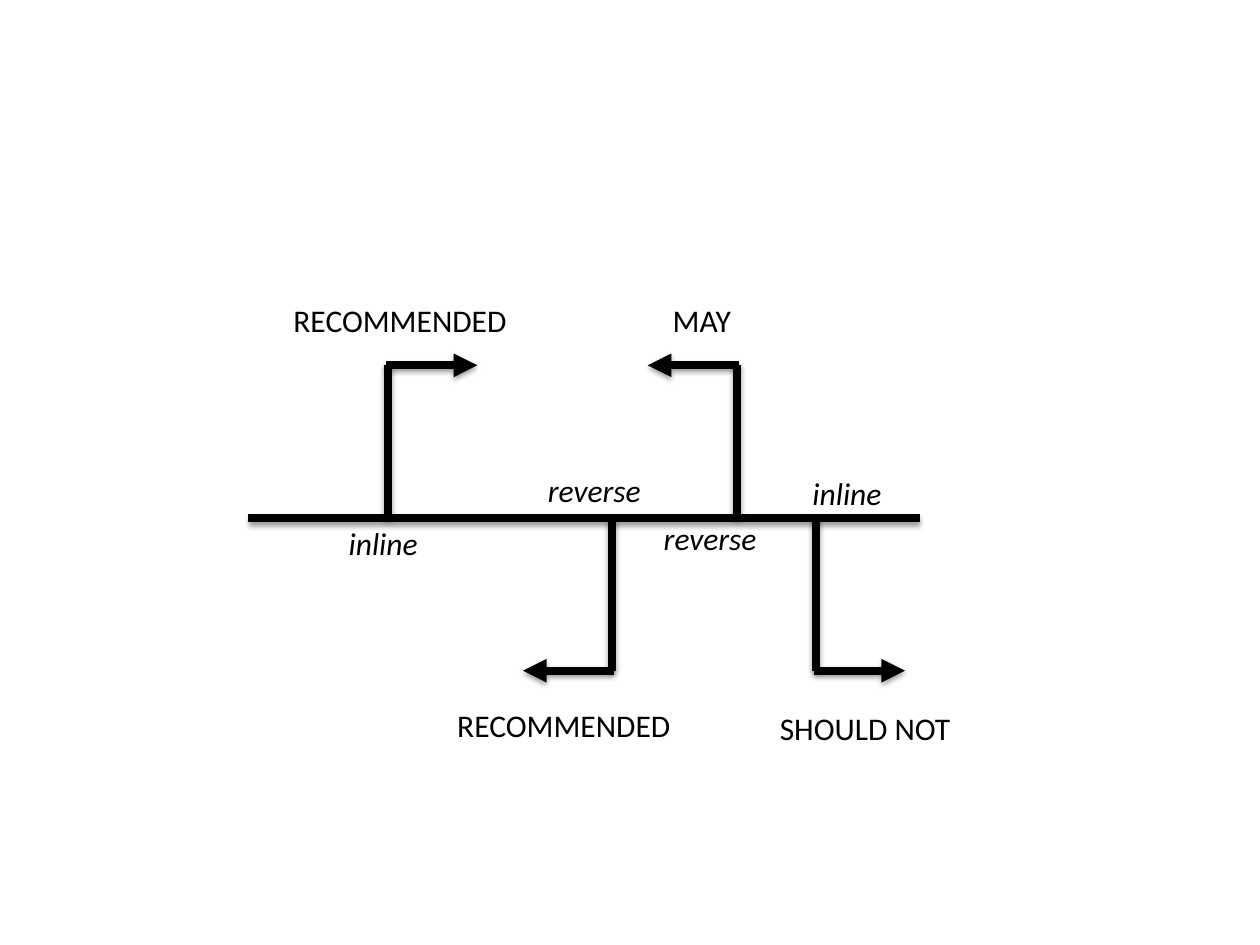
"""Build a slide of four promoter arrows, inline and reverse, along one strand."""
from lxml.etree import SubElement
from pptx import Presentation
from pptx.dml.color import RGBColor
from pptx.enum.shapes import MSO_CONNECTOR
from pptx.enum.text import MSO_AUTO_SIZE
from pptx.oxml.ns import qn
from pptx.util import Pt

THEME = {
    "ink": RGBColor(0, 0, 0),
    "font": "Calibri",
    "size": Pt(18),
    "line": Pt(4.5),
    "shadow": {"blurRad": Pt(3.1), "dist": Pt(1.6), "dir": 5400000, "rotWithShape": 0},
    "shadow_alpha": 38000,
}


def add_line(shapes, x1, y1, x2, y2, arrow=False):
    cxn = shapes.add_connector(MSO_CONNECTOR.STRAIGHT, Pt(x1), Pt(y1), Pt(x2), Pt(y2))
    cxn.line.color.rgb = THEME["ink"]
    cxn.line.width = THEME["line"]
    if arrow:
        SubElement(cxn.line._ln, qn("a:tailEnd"), type="triangle")
    effects = SubElement(cxn._element.spPr, qn("a:effectLst"))
    shadow = SubElement(effects, qn("a:outerShdw"),
                        {k: str(v) for k, v in THEME["shadow"].items()})
    color = SubElement(shadow, qn("a:srgbClr"), val=str(THEME["ink"]))
    SubElement(color, qn("a:alpha"), val=str(THEME["shadow_alpha"]))


def add_label(text, left, top, width, italic=False):
    sp = slide.shapes.add_textbox(Pt(left), Pt(top), Pt(width), Pt(29))
    tf = sp.text_frame
    tf.word_wrap = False
    tf.auto_size = MSO_AUTO_SIZE.SHAPE_TO_FIT_TEXT
    tf.text = text
    font = tf.paragraphs[0].runs[0].font
    font.name = THEME["font"]
    font.size = THEME["size"]
    font.color.rgb = THEME["ink"]
    font.italic = italic


prs = Presentation()
prs.slide_width, prs.slide_height = Pt(720), Pt(540)
slide = prs.slides.add_slide(prs.slide_layouts[6])

strand_y, stem_height, arm, overlap = 296, 87.25, 51, 1.1
add_line(slide.shapes, 142, strand_y, 525.5, strand_y)

for stem_x, side, direction in [(221.8, -1, 1), (349.8, 1, -1), (421.2, -1, -1), (466.2, 1, 1)]:
    turn_y = strand_y + side * stem_height
    promoter = slide.shapes.add_group_shape().shapes
    add_line(promoter, stem_x, turn_y, stem_x, strand_y)
    add_line(promoter, stem_x - direction * overlap, turn_y,
             stem_x + direction * arm, turn_y, arrow=True)

for text, left, top, width in [
    ("RECOMMENDED", 160.6, 168.5, 138),
    ("RECOMMENDED", 254.2, 399.6, 138),
    ("MAY", 377.3, 168.5, 49.7),
    ("SHOULD NOT", 438.5, 401.8, 113.8),
]:
    add_label(text, left, top, width)

for text, left, top, width in [
    ("inline", 192.2, 296, 55.4),
    ("reverse", 306, 265.7, 68.4),
    ("reverse", 372.2, 293, 68.4),
    ("inline", 457.2, 267.1, 55.4),
]:
    add_label(text, left, top, width, italic=True)

prs.save("out.pptx")
